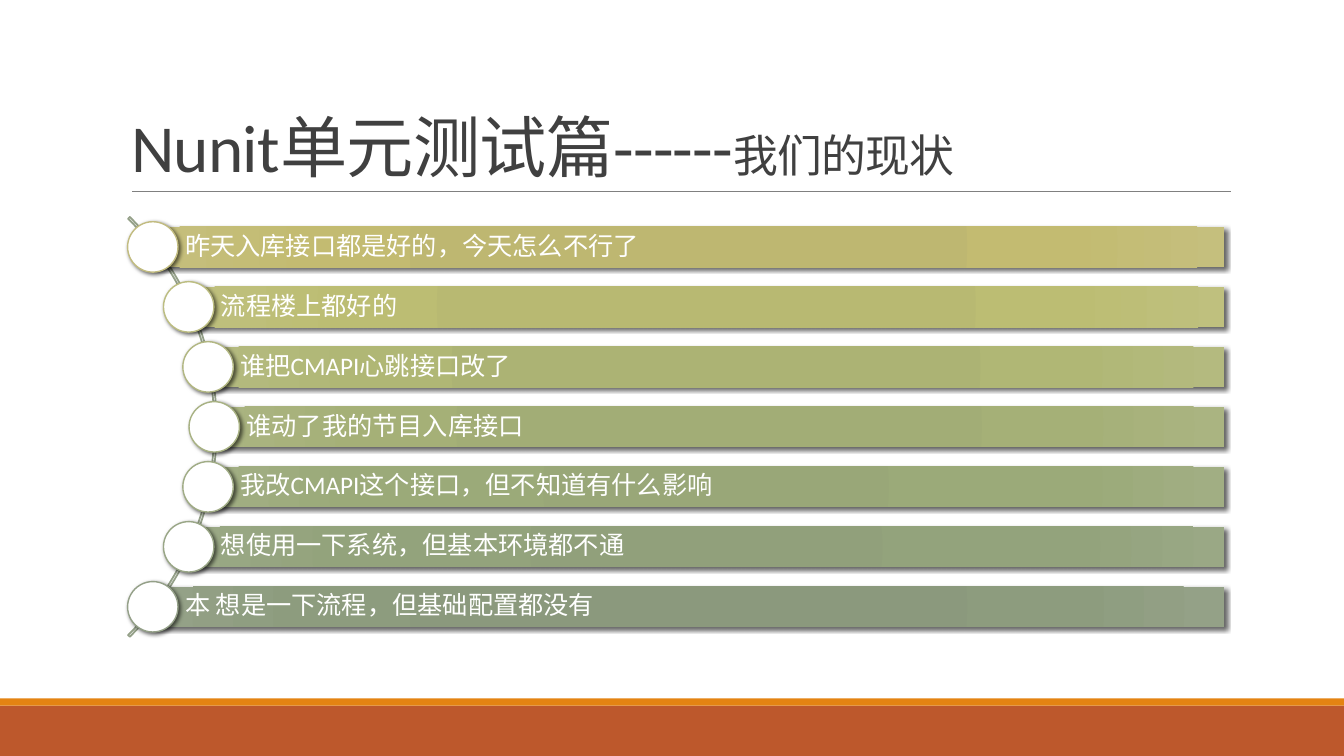
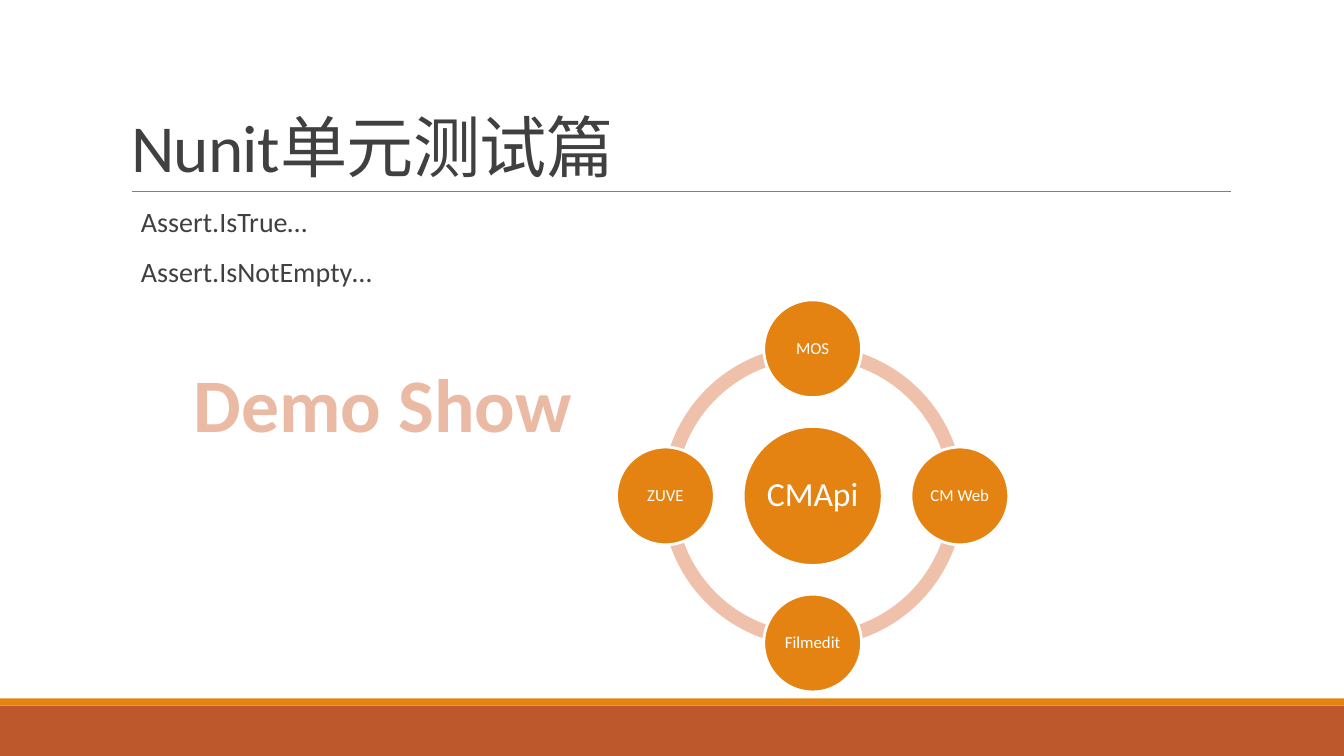
"""Build two unit-testing slides: a list of current problems and a demo overview."""
from math import cos, radians, sin, sqrt

from lxml.etree import SubElement
from pptx import Presentation
from pptx.dml.color import RGBColor
from pptx.enum.shapes import MSO_CONNECTOR as Connector, MSO_SHAPE as Shape
from pptx.enum.text import MSO_ANCHOR as Anchor, MSO_AUTO_SIZE as AutoSize, PP_ALIGN as Align
from pptx.oxml import parse_xml
from pptx.oxml.ns import nsdecls, qn
from pptx.util import Emu, Pt

PX = 9144
WIDTH, HEIGHT = 1333, 750
FONT = "Calibri"
INK, WHITE, RULE = "404040", "FFFFFF", "808080"
ORANGE, RUST, PEACH, SALMON = "E48312", "BD582C", "EFC1AB", "EABAA5"
SAGE = "94A088"

BANDS = [(700, 50, RUST), (693, 7, ORANGE)]
TITLE = "Nunit单元测试篇"
PROBLEM_TITLE = [(TITLE + "------", 48), ("我们的现状", 32)]
DEMO_TITLE = [(TITLE, 48)]

GRADIENT_STOPS = (0, 34, 70, 100)
PROBLEMS = [
    ("昨天入库接口都是好的，今天怎么不行了", ("BEB76E", "BEB771", "C3BB71", "C5BF7D"), "C2BC80"),
    ("流程楼上都好的", ("B8B870", "B8B972", "BCBD73", "BFC07E"), "BCBD81"),
    ("谁把CMAPI心跳接口改了", ("ABB272", "ACB374", "B0B775", "B4BA7F"), "B2B782"),
    ("谁动了我的节目入库接口", ("A1AC74", "A2AD76", "A5B077", "AAB481"), "A8B283"),
    ("我改CMAPI这个接口，但不知道有什么影响", ("97A676", "99A778", "9BAA79", "A1AE83"), "A0AC85"),
    ("想使用一下系统，但基本环境都不通", ("909F79", "91A07B", "93A37C", "9AA885"), "99A686"),
    ("本 想是一下流程，但基础配置都没有", ("8A987B", "8B997D", "8D9C7E", "94A187"), SAGE),
]
CURVE_LEFT, CURVE_TOP, CURVE_SIZE, NODE_ORBIT = -374, 129, 589, 292
BAR_TOP, LAST_BAR_TOP, BAR_HEIGHT, BAR_RIGHT, NODE_SIZE = 225, 582, 40, 1214, 50

ASSERTIONS = ["Assert.IsTrue…", "Assert.IsNotEmpty…"]
HUB = "CMApi"
CLIENTS = ["MOS", "CM Web", "Filmedit", "ZUVE"]
HUB_X, HUB_Y, HUB_SIZE = 806, 492, 138
RING_SIZE, CLIENT_SIZE, CLIENT_ORBIT = 299, 97, 146


def px(value):
    return Emu(round(value * PX))


def box(left, top, width, height):
    return px(left), px(top), px(width), px(height)


def color(value):
    return RGBColor.from_string(value)


def add_figure(slide, kind, bounds, fill=None, line=None, line_width=1):
    figure = slide.shapes.add_shape(kind, *box(*bounds))
    figure.shadow.inherit = False
    if fill:
        figure.fill.solid()
        figure.fill.fore_color.rgb = color(fill)
    else:
        figure.fill.background()
    if line:
        figure.line.color.rgb = color(line)
        figure.line.width = Pt(line_width)
    else:
        figure.line.fill.background()
    return figure


def add_arc(slide, bounds, start, end, thickness, **style):
    arc = add_figure(slide, Shape.BLOCK_ARC, bounds, **style)
    for index, value in enumerate((start * 0.6, end * 0.6, thickness)):
        arc.adjustments[index] = value


def add_run(paragraph, text, size, ink=INK, bold=False):
    run = paragraph.add_run()
    run.text = text
    run.font.name, run.font.size, run.font.bold = FONT, Pt(size), bold
    run.font.color.rgb = color(ink)
    return run


def add_label(figure, text, size, align, margins, wrap):
    frame = figure.text_frame
    frame.word_wrap = wrap
    frame.vertical_anchor = Anchor.MIDDLE
    frame.margin_left, frame.margin_top, frame.margin_right, frame.margin_bottom = map(px, margins)
    paragraph = frame.paragraphs[0]
    paragraph.alignment, paragraph.line_spacing = align, 0.9
    add_run(paragraph, text, size, WHITE)


def add_shadow(figure):
    effects = figure.element.spPr.find(qn("a:effectLst"))
    effects.append(parse_xml(
        f'<a:outerShdw {nsdecls("a")} blurRad="38100" dist="25400" dir="2700000" rotWithShape="0">'
        '<a:srgbClr val="000000"><a:alpha val="60000"/></a:srgbClr></a:outerShdw>'))


def set_gradient(figure, shades):
    stops = "".join(f'<a:gs pos="{stop * 1000}"><a:srgbClr val="{shade}"/></a:gs>'
                    for stop, shade in zip(GRADIENT_STOPS, shades))
    properties = figure.element.spPr
    properties.replace(properties.find(qn("a:solidFill")), parse_xml(
        f'<a:gradFill {nsdecls("a")} rotWithShape="1"><a:gsLst>{stops}</a:gsLst><a:path path="circle">'
        '<a:fillToRect l="100000" t="100000" r="100000" b="100000"/></a:path></a:gradFill>'))


def add_slide(deck, title_runs):
    slide = deck.slides.add_slide(deck.slide_layouts[5])
    paragraph = slide.shapes.title.text_frame.paragraphs[0]
    paragraph.alignment, paragraph.line_spacing = Align.LEFT, 0.85
    for text, size in title_runs:
        add_run(paragraph, text, size).font._element.set("spc", "-50")
    return slide


def style_layout(layout, slide):
    for placeholder in list(layout.placeholders):
        if placeholder.placeholder_format.idx:
            layout.shapes.element.remove(placeholder.element)
    title = layout.placeholders[0]
    title.left, title.top, title.width, title.height = box(120, 31, 1100, 159)
    title.text_frame.vertical_anchor = Anchor.BOTTOM
    title.text_frame.auto_size = AutoSize.NONE
    decorations = [add_figure(slide, Shape.RECTANGLE, (0, top, WIDTH, height), fill)
                   for top, height, fill in BANDS]
    rule = slide.shapes.add_connector(Connector.STRAIGHT, px(131), px(190), px(1221), px(190))
    rule.line.color.rgb = color(RULE)
    rule.line.width = Pt(0.5)
    SubElement(rule.element.spPr, qn("a:effectLst"))
    for decoration in decorations + [rule]:
        layout.shapes.element.append(decoration.element)


def build_problems(slide):
    add_arc(slide, (CURVE_LEFT, CURVE_TOP, CURVE_SIZE, CURVE_SIZE), 315, 45, 0.004,
            line=SAGE, line_width=1.25)
    center_x = CURVE_LEFT + CURVE_SIZE / 2
    center_y = CURVE_TOP + CURVE_SIZE / 2
    pitch = (LAST_BAR_TOP - BAR_TOP) / (len(PROBLEMS) - 1)
    for row, (problem, shades, outline) in enumerate(PROBLEMS):
        top = BAR_TOP + row * pitch
        node_y = top + BAR_HEIGHT / 2
        node_x = center_x + sqrt(NODE_ORBIT ** 2 - (node_y - center_y) ** 2)
        bar = add_figure(slide, Shape.RECTANGLE, (node_x, top, BAR_RIGHT - node_x, BAR_HEIGHT), shades[0])
        set_gradient(bar, shades)
        add_shadow(bar)
        add_label(bar, problem, 18, Align.LEFT, (32, 5, 5, 5), True)
        node = add_figure(slide, Shape.OVAL,
                          (node_x - NODE_SIZE / 2, node_y - NODE_SIZE / 2, NODE_SIZE, NODE_SIZE),
                          WHITE, outline)
        add_shadow(node)


def add_disc(slide, x, y, size, text, text_size):
    disc = add_figure(slide, Shape.OVAL, (x - size / 2, y - size / 2, size, size), ORANGE, WHITE, 2)
    add_label(disc, text, text_size, Align.CENTER, (2, 2, 2, 2), False)


def build_demo(slide):
    frame = slide.shapes.add_textbox(*box(130, 202, 1090, 100)).text_frame
    frame.word_wrap = True
    for index, assertion in enumerate(ASSERTIONS):
        paragraph = frame.add_paragraph() if index else frame.paragraphs[0]
        paragraph.line_spacing, paragraph.space_after = 0.9, Pt(14)
        add_run(paragraph, assertion, 20)

    step = 360 // len(CLIENTS)
    angles = [(270 + step * index) % 360 for index in range(len(CLIENTS))]
    ring = (HUB_X - RING_SIZE / 2, HUB_Y - RING_SIZE / 2, RING_SIZE, RING_SIZE)
    for angle in angles:
        add_arc(slide, ring, angle, (angle + step) % 360, 0.046, fill=PEACH)
    add_disc(slide, HUB_X, HUB_Y, HUB_SIZE, HUB, 24)
    for client, angle in zip(CLIENTS, angles):
        add_disc(slide, HUB_X + CLIENT_ORBIT * cos(radians(angle)),
                 HUB_Y + CLIENT_ORBIT * sin(radians(angle)), CLIENT_SIZE, client, 12)

    banner = slide.shapes.add_textbox(*box(180, 349, 399, 101)).text_frame
    banner.word_wrap = False
    banner.paragraphs[0].alignment = Align.CENTER
    run = add_run(banner.paragraphs[0], "Demo Show", 54, SALMON, True)
    run.font._element.insert(0, parse_xml(
        f'<a:ln {nsdecls("a")} w="22225"><a:solidFill><a:srgbClr val="{RUST}"/></a:solidFill></a:ln>'))


def main():
    deck = Presentation()
    deck.slide_width, deck.slide_height = px(WIDTH), px(HEIGHT)
    problems = add_slide(deck, PROBLEM_TITLE)
    style_layout(deck.slide_layouts[5], problems)
    build_problems(problems)
    build_demo(add_slide(deck, DEMO_TITLE))
    deck.save("out.pptx")


if __name__ == "__main__":
    main()
